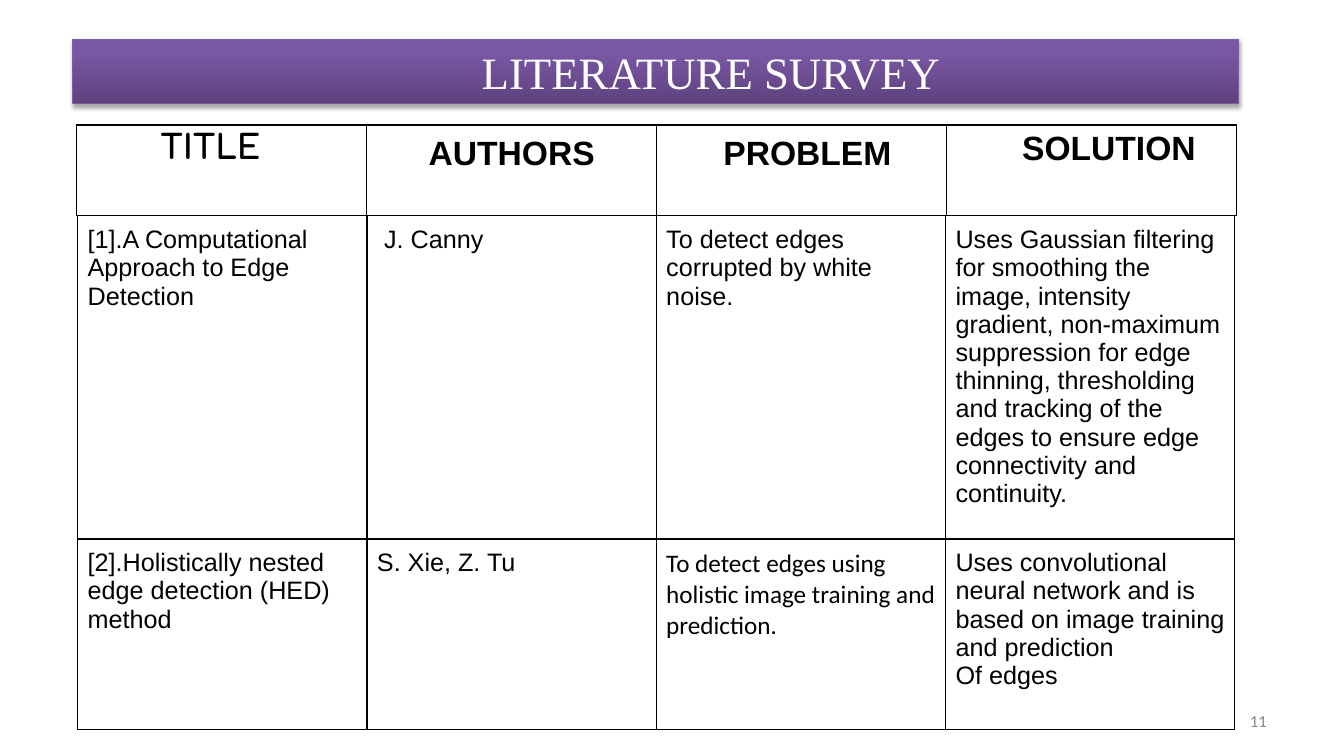
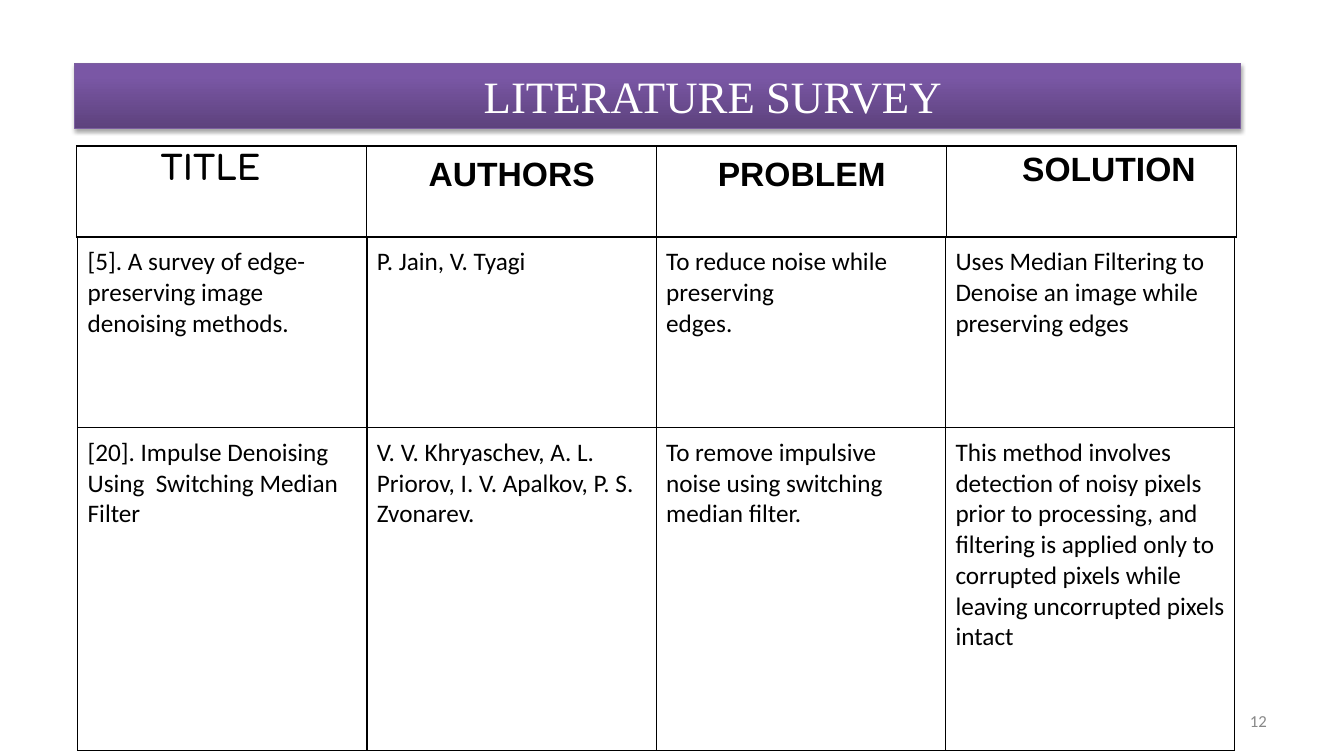
from lxml import etree
from pptx import Presentation
from pptx.dml.color import RGBColor
from pptx.enum.shapes import MSO_SHAPE
from pptx.enum.text import MSO_ANCHOR, PP_ALIGN
from pptx.oxml.ns import qn
from pptx.util import Cm, Pt

RECT = MSO_SHAPE.RECTANGLE
TOP, MIDDLE = MSO_ANCHOR.TOP, MSO_ANCHOR.MIDDLE
LEFT, CENTER, RIGHT = PP_ALIGN.LEFT, PP_ALIGN.CENTER, PP_ALIGN.RIGHT

COLORS = {
    "text": "000000",
    "title": "FFFFFF",
    "number": "888888",
    "bar_dark": "5D427D",
    "bar_light": "7A57A5",
    "bar_line": "7C5F9F",
    "border": "000000",
    "shadow": "000000",
}
FORMATS = {
    "title": {"name": "Times New Roman", "size": Pt(32), "color": "title"},
    "number": {"name": "Calibri", "size": Pt(12), "color": "number"},
    "head": {"name": "Arial", "size": Pt(24), "bold": True, "color": "text"},
    "head_round": {"name": "Comfortaa", "size": Pt(24), "bold": True, "color": "text"},
    "arial": {"name": "Arial", "size": Pt(18), "color": "text"},
    "calibri": {"name": "Calibri", "size": Pt(18), "color": "text"},
}
PAD, SMALL_PAD = 0.25, 0.13
HEAD_HEIGHT, TALL_ROW, SHORT_ROW = 2.29, 8.14, 4.8
EDGES = ("a:lnL", "a:lnR", "a:lnT", "a:lnB")


def rgb(name):
    return RGBColor.from_string(COLORS[name])


def add_color(parent, name):
    return etree.SubElement(parent, qn("a:srgbClr"), val=COLORS[name])


class Deck:
    def __init__(self):
        self.prs = Presentation()
        self.prs.slide_width, self.prs.slide_height = Cm(33.87), Cm(19.05)
        self.slide = None

    def new_slide(self):
        self.slide = self.prs.slides.add_slide(self.prs.slide_layouts[6])

    def set_text(self, tf, text, style, align=LEFT, indent=0):
        """Fill a text frame, one paragraph per line of text."""
        tf.word_wrap = True
        for i, line in enumerate(text.split("\n")):
            p = tf.add_paragraph() if i else tf.paragraphs[0]
            p.alignment = align
            if indent:
                p._p.get_or_add_pPr().set("marL", str(Cm(indent)))
            r = p.add_run()
            r.text = line
            for key, value in FORMATS[style].items():
                if key == "color":
                    r.font.color.rgb = rgb(value)
                else:
                    setattr(r.font, key, value)

    def shadow(self, sp):
        sp.shadow.inherit = False
        effects = sp._element.spPr.find(qn("a:effectLst"))
        outer = etree.SubElement(effects, qn("a:outerShdw"), blurRad=str(Pt(3.1)),
                                 dist=str(Pt(1.8)), dir="5400000", rotWithShape="0")
        etree.SubElement(add_color(outer, "shadow"), qn("a:alpha"), val="35000")

    def title_bar(self, text, x, y):
        sp = self.slide.shapes.add_shape(RECT, Cm(x), Cm(y), Cm(29.39), Cm(1.63))
        sp.fill.gradient()
        sp.fill.gradient_angle = 90
        stops = zip(sp.fill.gradient_stops, ("bar_dark", "bar_light"), (0, 0.8))
        for stop, color, position in stops:
            stop.color.rgb = rgb(color)
            stop.position = position
        sp.line.color.rgb = rgb("bar_line")
        sp.line.width = Pt(0.75)
        self.shadow(sp)
        sp.text_frame.vertical_anchor = TOP
        self.set_text(sp.text_frame, text, "title", indent=10.06)

    def page_number(self, number):
        sp = self.slide.shapes.add_textbox(Cm(24.28), Cm(17.65), Cm(7.9), Cm(1.02))
        sp.text_frame.vertical_anchor = MIDDLE
        self.set_text(sp.text_frame, str(number), "number", RIGHT)

    def borders(self, cell):
        tcPr = cell._tc.get_or_add_tcPr()
        for i, edge in enumerate(EDGES):
            ln = etree.Element(qn(edge), w=str(Pt(1)))
            add_color(etree.SubElement(ln, qn("a:solidFill")), "border")
            tcPr.insert(i, ln)

    def table(self, x, y, col_width, heights, rows):
        """Draw rows of cells, each given as (text, style, options)."""
        cols = len(rows[0])
        table = self.slide.shapes.add_table(
            len(rows), cols, Cm(x), Cm(y), Cm(col_width * cols), Cm(sum(heights))).table
        table.first_row = table.horz_banding = False
        for column in table.columns:
            column.width = Cm(col_width)
        for row, height, cells in zip(table.rows, heights, rows):
            row.height = Cm(height)
            for cell, (text, style, options) in zip(row.cells, cells):
                options = dict(options)
                pad = options.pop("pad", PAD)
                cell.margin_left = cell.margin_right = Cm(PAD)
                cell.margin_top = cell.margin_bottom = Cm(pad)
                cell.fill.background()
                self.borders(cell)
                self.set_text(cell.text_frame, text, style, **options)

    def survey(self, number, bar, top, problem_options, heights, rows):
        """Build one survey slide: title bar, number, body and heading row."""
        self.new_slide()
        self.title_bar("LITERATURE SURVEY", *bar)
        self.page_number(number)
        self.table(1.96, top + HEAD_HEIGHT, 7.29, heights, rows)
        heading = [
            ("TITLE", "head_round", {"indent": 1.87, "pad": SMALL_PAD}),
            ("AUTHORS", "head", {"align": CENTER}),
            ("PROBLEM", "head", problem_options),
            ("SOLUTION", "head", {"indent": 1.65, "pad": SMALL_PAD}),
        ]
        self.table(1.93, top, 7.31, [HEAD_HEIGHT], [heading])


def main():
    deck = Deck()
    deck.survey(11, (1.83, 0.99), 3.15, {"indent": 1.43}, [TALL_ROW, SHORT_ROW], [
        [("[1].A Computational Approach to Edge Detection", "arial", {}),
         ("J. Canny", "arial", {"indent": 0.18}),
         ("To detect edges corrupted by white noise.", "arial", {}),
         ("Uses Gaussian filtering for smoothing the image, intensity gradient, "
          "non-maximum suppression for edge thinning, thresholding and tracking of "
          "the edges to ensure edge connectivity and continuity.", "arial", {})],
        [("[2].Holistically nested edge detection (HED) method", "arial", {}),
         ("S. Xie, Z. Tu", "arial", {}),
         ("To detect edges using holistic image training and prediction.", "calibri", {}),
         ("Uses convolutional neural network and is based on image training and "
          "prediction\nOf edges", "arial", {})],
    ])
    deck.survey(12, (1.88, 1.6), 3.68, {"align": CENTER}, [SHORT_ROW, TALL_ROW], [
        [("[5]. A survey of edge-preserving image denoising methods.", "calibri", {}),
         ("P. Jain, V. Tyagi", "calibri", {}),
         ("To reduce noise while preserving\nedges.", "calibri", {}),
         ("Uses Median Filtering to\nDenoise an image while preserving edges",
          "calibri", {})],
        [("[20]. Impulse Denoising Using  Switching Median Filter", "calibri", {}),
         ("V. V. Khryaschev, A. L. Priorov, I. V. Apalkov, P. S. Zvonarev.",
          "calibri", {}),
         ("To remove impulsive noise using switching median filter.", "calibri", {}),
         ("This method involves detection of noisy pixels prior to processing, and "
          "filtering is applied only to corrupted pixels while leaving uncorrupted "
          "pixels intact", "calibri", {})],
    ])
    deck.prs.save("out.pptx")


if __name__ == "__main__":
    main()
